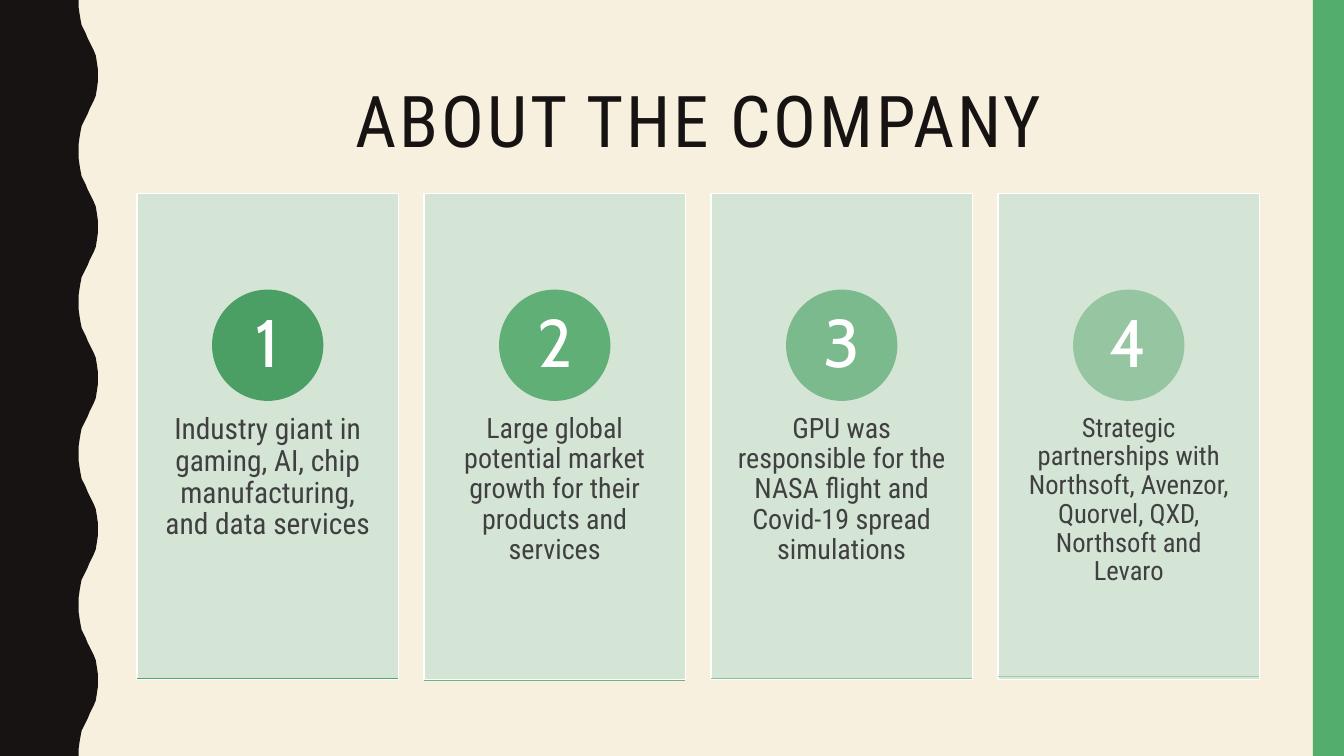
from lxml import etree
from pptx import Presentation, util as u
from pptx.dml.color import RGBColor
from pptx.enum import shapes, text
from pptx.oxml.ns import qn

WIDTH, HEIGHT = 13.33, 7.5
COLORS = {"background": "F7F0DF", "ink": "171312", "band": "53AE6E",
          "card": "D1E3D5", "body": "404040", "white": "FFFFFF"}
NARROW, ROUND = "Roboto Condensed", "Cabin"

# message, text size, circle colour, baseline colour, baseline height
POINTS = [
    ("Industry giant in gaming, AI, chip manufacturing, and data services",
     21, "4B9E64", "53A96C", 6.73),
    ("Large global potential market growth for their products and services",
     20, "60AF76", "6EB481", 6.75),
    ("GPU was responsible for the NASA flight and Covid-19 spread simulations",
     20, "7BBA8C", "89BF97", 6.73),
    ("Strategic partnerships with Northsoft, Avenzor, Quorvel, QXD, Northsoft and Levaro",
     19, "96C5A1", "A3CBAC", 6.71),
]

# One half of a wave, in hundredths of an inch: its edge swings from left to right
HALF_WAVE = 75
SWING_X = [78, 78, 79, 80, 81, 83, 85, 87, 89, 91, 93, 95, 96, 97, 97]
SWING_Y = [0, 7, 14, 20, 25, 29, 33, 38, 42, 46, 50, 55, 61, 68, 75]


def paint(shape, fill, line=None):
    shape.shadow.inherit = False
    shape.fill.solid()
    shape.fill.fore_color.rgb = RGBColor.from_string(fill)
    if line:
        shape.line.color.rgb = RGBColor.from_string(line)
        shape.line.width = u.Pt(1)
    else:
        shape.line.fill.background()


def write(shape, words, size, font, color, anchor, inset_x, inset_y):
    frame = shape.text_frame
    frame.word_wrap = True
    frame.vertical_anchor = anchor
    frame.margin_left = frame.margin_right = u.Inches(inset_x)
    frame.margin_top = frame.margin_bottom = u.Inches(inset_y)
    frame.text = words
    paragraph = frame.paragraphs[0]
    paragraph.alignment = text.PP_ALIGN.CENTER
    paragraph.line_spacing = 0.9
    run = paragraph.runs[0]
    run.font.size = u.Pt(size)
    run.font.name = font
    run.font.color.rgb = RGBColor.from_string(color)
    return run


deck = Presentation()
deck.slide_width, deck.slide_height = u.Inches(WIDTH), u.Inches(HEIGHT)
slide = deck.slides.add_slide(deck.slide_layouts[6])
slide.background.fill.solid()
slide.background.fill.fore_color.rgb = RGBColor.from_string(COLORS["background"])

# Wavy left edge and right band
bottom = round(HEIGHT * 100)
edge = []
for half in range(bottom // HALF_WAVE):
    swing = SWING_X if half % 2 == 0 else SWING_X[::-1]
    edge += [(x, half * HALF_WAVE + y) for x, y in zip(swing, SWING_Y)]
outline = slide.shapes.build_freeform(0, 0, scale=u.Inches(0.01))
outline.add_line_segments(edge + [(0, bottom)], close=True)
paint(outline.convert_to_shape(), COLORS["ink"])

band = slide.shapes.add_shape(shapes.MSO_SHAPE.RECTANGLE, u.Inches(13.02), 0,
                              u.Inches(0.31), u.Inches(HEIGHT))
paint(band, COLORS["band"])

# Title
GRID_LEFT, GRID_WIDTH = 1.36, 11.13
title = slide.shapes.add_textbox(u.Inches(GRID_LEFT + 0.01), u.Inches(0.42),
                                 u.Inches(GRID_WIDTH), u.Inches(1.63))
heading = write(title, "ABOUT THE COMPANY", 51, NARROW, COLORS["ink"],
                text.MSO_ANCHOR.MIDDLE, 0.1, 0.05)
heading.font._element.set("spc", "200")

# Four numbered cards
CARD_WIDTH, CARD_TOP, CARD_HEIGHT, CIRCLE = 2.59, 1.92, 4.82, 1.09
pitch = (GRID_WIDTH - CARD_WIDTH) / (len(POINTS) - 1)
for column, (message, size, circle_color, base_color, base_y) in enumerate(POINTS):
    left = GRID_LEFT + column * pitch

    card = slide.shapes.add_shape(shapes.MSO_SHAPE.RECTANGLE, u.Inches(left),
                                  u.Inches(CARD_TOP), u.Inches(CARD_WIDTH),
                                  u.Inches(CARD_HEIGHT))
    paint(card, COLORS["card"], COLORS["white"])
    card_color = card.fill._xPr.find(qn("a:solidFill"))[0]
    etree.SubElement(card_color, qn("a:alpha"), val="90000")

    body = slide.shapes.add_textbox(u.Inches(left), u.Inches(3.75),
                                    u.Inches(CARD_WIDTH), u.Inches(2.89))
    write(body, message, size, NARROW, COLORS["body"],
          text.MSO_ANCHOR.TOP, 0.2, 0.36)

    circle = slide.shapes.add_shape(shapes.MSO_SHAPE.OVAL,
                                    u.Inches(left + (CARD_WIDTH - CIRCLE) / 2),
                                    u.Inches(2.88), u.Inches(CIRCLE), u.Inches(CIRCLE))
    paint(circle, circle_color, circle_color)
    write(circle, str(column + 1), 48, ROUND, COLORS["white"],
          text.MSO_ANCHOR.MIDDLE, 0.08, 0.01)

    baseline = slide.shapes.add_connector(shapes.MSO_CONNECTOR.STRAIGHT,
                                          u.Inches(left), u.Inches(base_y),
                                          u.Inches(left + CARD_WIDTH), u.Inches(base_y))
    baseline.line.color.rgb = RGBColor.from_string(base_color)
    baseline.line.width = u.Pt(1)
    etree.SubElement(baseline._element.spPr, qn("a:effectLst"))

deck.save("out.pptx")
